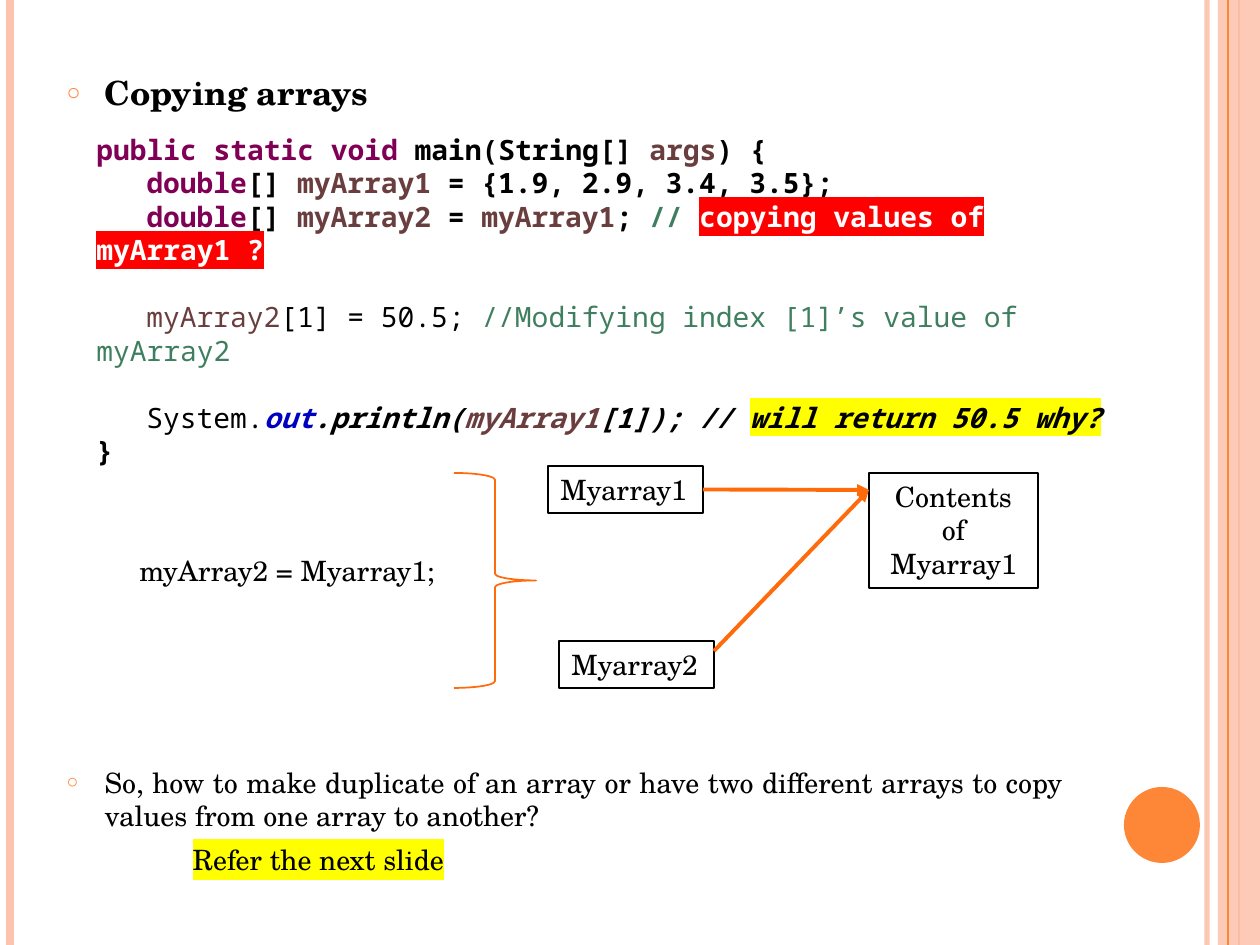
from lxml import etree
from pptx import Presentation
from pptx.dml.color import RGBColor
from pptx.enum.shapes import MSO_CONNECTOR, MSO_SHAPE
from pptx.enum.text import MSO_ANCHOR, MSO_AUTO_SIZE, PP_ALIGN
from pptx.oxml.ns import qn
from pptx.util import Emu, Pt

STRAIGHT = MSO_CONNECTOR.STRAIGHT
RECTANGLE, OVAL, BRACE = MSO_SHAPE.RECTANGLE, MSO_SHAPE.OVAL, MSO_SHAPE.RIGHT_BRACE
TOP = MSO_ANCHOR.TOP
NO_FIT, GROW = MSO_AUTO_SIZE.NONE, MSO_AUTO_SIZE.SHAPE_TO_FIT_TEXT
LEFT, CENTER, JUSTIFY = PP_ALIGN.LEFT, PP_ALIGN.CENTER, PP_ALIGN.JUSTIFY

PX_PER_INCH = 126
WIDTH, HEIGHT = 1260, 945
SERIF, MONO = "TeX Gyre Schola", "Noto Sans Mono"
COLORS = {
    "black": "000000", "white": "FFFFFF", "red": "FF0000", "yellow": "FFFF00",
    "keyword": "7F0055", "variable": "6A3E3E", "comment": "3F7F5F", "field": "0000C0",
    "peach": "FEC3AE", "orange": "FE8637", "arrow": "FF6B0A",
}


def px(length):
    return Emu(round(length * 914400 / PX_PER_INCH))


def rgb(name):
    return RGBColor.from_string(COLORS[name])


def add_child(parent, tag, **attributes):
    return etree.SubElement(parent, qn(tag), attributes)


def set_alpha(fill_parent, percent):
    color = next(fill_parent.iter(qn("a:srgbClr")))
    add_child(color, "a:alpha", val=str(percent * 1000))


class SlideWriter:
    def __init__(self, slide):
        self.slide = slide
        self.shapes = slide.shapes

    def line(self, start, end, color, width, alpha=None, arrow=False, source=None):
        """Draw a line; source is a rectangle whose right side it leaves."""
        line = self.shapes.add_connector(STRAIGHT, *map(px, start + end))
        if source is not None:
            line.begin_connect(source, 3)
        line.line.color.rgb = rgb(color)
        line.line.width = Pt(width)
        properties = line.line._get_or_add_ln()
        if alpha:
            set_alpha(properties, alpha)
        if arrow:
            add_child(properties, "a:tailEnd", type="triangle")
        add_child(line._element.spPr, "a:effectLst")

    def shape(self, kind, frame, fill=None, outline=None, alpha=None):
        shape = self.shapes.add_shape(kind, *map(px, frame))
        shape.shadow.inherit = False
        if fill:
            shape.fill.solid()
            shape.fill.fore_color.rgb = rgb(fill)
            if alpha:
                set_alpha(shape._element.spPr, alpha)
        else:
            shape.fill.background()
        if outline:
            shape.line.color.rgb = rgb(outline)
            shape.line.width = Pt(1)
        else:
            shape.line.fill.background()
        return shape

    def span(self, para, text, font, size, color="black", bold=False, italic=False,
             highlight=None):
        span = para.add_run()
        span.text = text
        span.font.name = font
        span.font.size = Pt(size)
        span.font.bold = bold
        span.font.italic = italic
        span.font.color.rgb = rgb(color)
        if highlight:
            mark = etree.Element(qn("a:highlight"))
            add_child(mark, "a:srgbClr", val=COLORS[highlight])
            span._r.rPr.find(qn("a:solidFill")).addnext(mark)

    def indent(self, para, margin, first_line):
        properties = para._p.get_or_add_pPr()
        properties.set("marL", str(px(margin)))
        properties.set("indent", str(px(first_line)))
        return properties

    def list_item(self, para, text, size, bullet=True, **style):
        para.alignment = JUSTIFY
        para.space_before = Pt(6)
        if bullet:
            properties = self.indent(para, 38, -38)
            color = add_child(properties, "a:buClr")
            add_child(color, "a:srgbClr", val=COLORS["orange"])
            add_child(properties, "a:buSzPct", val="70000")
            add_child(properties, "a:buChar", char="○")
        else:
            add_child(self.indent(para, 126, 0), "a:buNone")
        self.span(para, text, SERIF, size, **style)

    def body(self, index, frame):
        holder = self.slide.placeholders[index]
        holder.left, holder.top, holder.width, holder.height = map(px, frame)
        holder.text_frame.auto_size = NO_FIT
        holder.text_frame.vertical_anchor = TOP
        return holder.text_frame

    def label(self, frame, text, align=LEFT, wrap=False, outlined=True):
        if outlined:
            box = self.shape(RECTANGLE, frame, outline="black")
        else:
            box = self.shapes.add_textbox(*map(px, frame))
        box.text_frame.word_wrap = wrap
        box.text_frame.auto_size = GROW
        box.text_frame.vertical_anchor = TOP
        para = box.text_frame.paragraphs[0]
        para.alignment = align
        self.span(para, text, SERIF, 16)
        return box

    def code(self, frame, lines):
        """Write code lines, each given as (indented, gap before in points, spans)."""
        box = self.shapes.add_textbox(*map(px, frame))
        box.text_frame.word_wrap = True
        box.text_frame.auto_size = GROW
        for number, (indented, gap, spans) in enumerate(lines):
            para = box.text_frame.add_paragraph() if number else box.text_frame.paragraphs[0]
            self.indent(para, 0, 50 if indented else 0)
            para.space_before = Pt(gap)
            for text, style in spans:
                self.span(para, text, MONO, 16, **style)


PLAIN = {}
BOLD = {"bold": True}
KEYWORD = {"color": "keyword", "bold": True}
VARIABLE = {"color": "variable", "bold": True}
SLANTED = {"bold": True, "italic": True}
BLANK_LINE = 19

CODE = [
    (False, 0, [("public static void", KEYWORD), (" main(String[] ", BOLD),
                ("args", VARIABLE), (") {", BOLD)]),
    (True, 0, [("double", KEYWORD), ("[] ", BOLD), ("myArray1", VARIABLE),
               (" = {1.9, 2.9, 3.4, 3.5};", BOLD)]),
    (True, 0, [("double", KEYWORD), ("[] ", BOLD), ("myArray2", VARIABLE), (" = ", BOLD),
               ("myArray1", VARIABLE), ("; ", BOLD),
               ("// ", {"color": "comment", "bold": True}),
               ("copying values of myArray1 ?",
                {"color": "white", "bold": True, "highlight": "red"})]),
    (True, BLANK_LINE, [("myArray2", {"color": "variable"}), ("[1] = 50.5; ", PLAIN),
                        ("//Modifying index [1]’s value of myArray2",
                         {"color": "comment"})]),
    (True, BLANK_LINE, [("System.", PLAIN), ("out", {"color": "field", **SLANTED}),
                        (".println(", SLANTED), ("myArray1", {**VARIABLE, "italic": True}),
                        ("[1]); // ", SLANTED),
                        ("will return 50.5 why?", {**SLANTED, "highlight": "yellow"})]),
    (False, 0, [("}", BOLD)]),
]


def main():
    deck = Presentation()
    deck.slide_width, deck.slide_height = px(WIDTH), px(HEIGHT)
    page = deck.slides.add_slide(deck.slide_layouts[3])
    title = page.shapes.title._element
    title.getparent().remove(title)
    writer = SlideWriter(page)

    # Side bands
    writer.line((1207, 0), (1207, HEIGHT), "peach", 3, alpha=93)
    writer.line((10, 0), (10, HEIGHT), "peach", 4.5)
    writer.line((1239, 0), (1239, HEIGHT), "orange", 1.5)
    writer.shape(RECTANGLE, (1218, 0, 42, HEIGHT), fill="peach", alpha=87)
    writer.line((1228, 0), (1228, HEIGHT), "orange", 0.75)
    writer.shape(OVAL, (1124, 787, 76, 76), fill="orange")

    heading = writer.body(1, (54, 66, 612, 89))
    writer.list_item(heading.paragraphs[0], "Copying arrays", 19, bold=True)
    writer.code((84, 126, 1094, 285), CODE)

    # Two names that refer to one array
    writer.label((127, 547, 329, 47), "myArray2 = Myarray1;", outlined=False)
    writer.label((869, 473, 169, 115), "Contents of Myarray1", CENTER, wrap=True)
    first = writer.label((548, 466, 155, 47), "Myarray1")
    writer.label((559, 641, 155, 47), "Myarray2")
    target = (869, 490)
    writer.line((703, 490), target, "arrow", 2.25, arrow=True, source=first)
    writer.line((714, 651), target, "arrow", 2.25, arrow=True)
    writer.shape(BRACE, (454, 473, 82, 215), outline="arrow")

    question = writer.body(2, (54, 759, 1022, 123))
    writer.list_item(question.paragraphs[0],
                     "So, how to make duplicate of an array or have two different arrays "
                     "to copy values from one array to another?", 16)
    writer.list_item(question.add_paragraph(), "Refer the next slide", 16, bullet=False,
                     highlight="yellow")
    deck.save("out.pptx")


if __name__ == "__main__":
    main()
